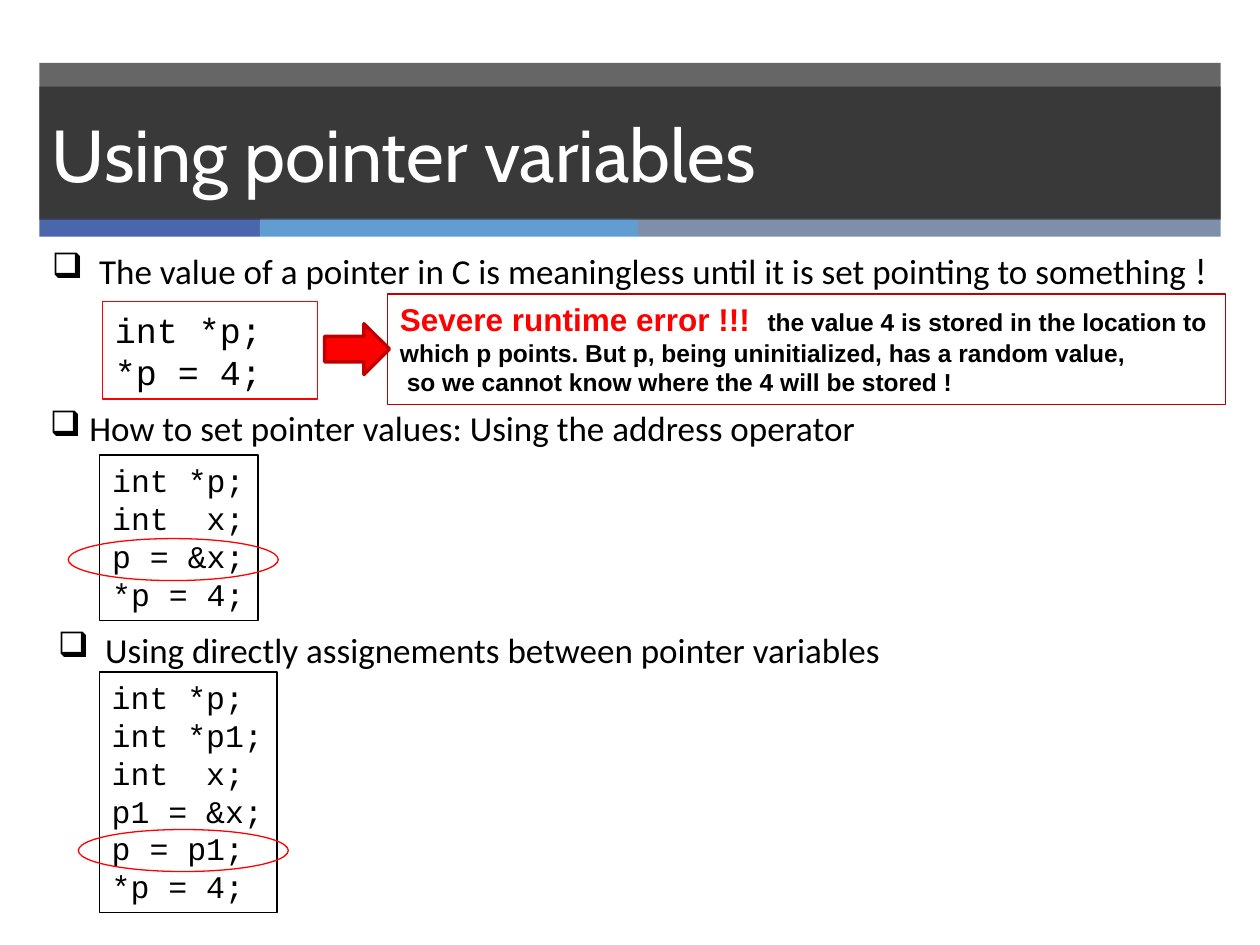
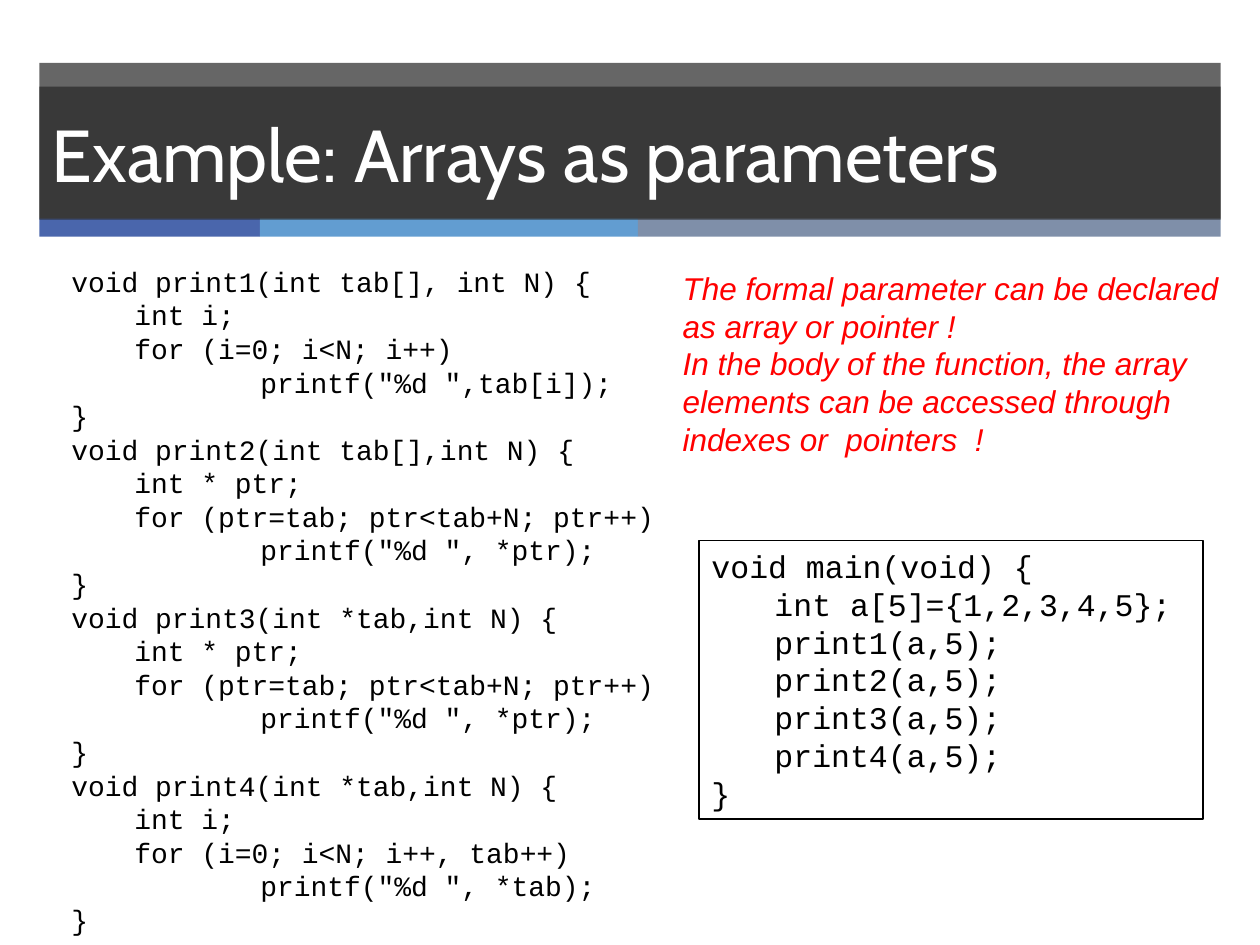
from lxml import etree
from pptx import Presentation
from pptx.dml.color import RGBColor
from pptx.enum.shapes import MSO_SHAPE
from pptx.enum.text import MSO_ANCHOR, MSO_AUTO_SIZE, PP_ALIGN
from pptx.oxml.ns import qn
from pptx.util import Pt

RECT, OVAL, ARROW = MSO_SHAPE.RECTANGLE, MSO_SHAPE.OVAL, MSO_SHAPE.RIGHT_ARROW
MIDDLE, LEFT = MSO_ANCHOR.MIDDLE, PP_ALIGN.LEFT
GROW, NO_FIT = MSO_AUTO_SIZE.SHAPE_TO_FIT_TEXT, MSO_AUTO_SIZE.NONE

COLORS = {
    "band": "262626", "blue": "4A66AC", "sky": "629DD1", "slate": "7F8FA9",
    "white": "FFFFFF", "black": "000000", "red": "FF0000", "dark_red": "C00000",
}
TITLE_FONT, LIST_FONT, CODE_FONT, NOTE_FONT = "Cabin", "Calibri", "Courier New", "Arial"
TITLE_ONLY = 5
BAND_LEFT, BAND_WIDTH = 22.5, 675
STRIPES = (("blue", 126), ("sky", 216), ("slate", 333))
INDENT, TAB = 36, 72


def rgb(name):
    return RGBColor.from_string(COLORS[name])


def fill_solid(shape, color, opacity=100):
    shape.fill.solid()
    shape.fill.fore_color.rgb = rgb(color)
    if opacity < 100:
        srgb = shape._element.spPr.find(qn("a:solidFill")).find(qn("a:srgbClr"))
        etree.SubElement(srgb, qn("a:alpha"), val=str(opacity * 1000))


def set_line(shape, color, weight=0.75):
    shape.line.color.rgb = rgb(color)
    shape.line.width = Pt(weight)


def set_font(font, name, size, color="black", bold=False, italic=False):
    font.name, font.size, font.bold, font.italic = name, Pt(size), bold, italic
    font.color.rgb = rgb(color)


def add_figure(slide, kind, box, fill=None, line=None, weight=0.75, opacity=100):
    figure = slide.shapes.add_shape(kind, *map(Pt, box))
    figure.shadow.inherit = False
    if fill:
        fill_solid(figure, fill, opacity)
    else:
        figure.fill.background()
    if line:
        set_line(figure, line, weight)
    else:
        figure.line.fill.background()


def add_frame(slide, box, line=None, wrap=True):
    """Add an auto-growing text box and return its text frame."""
    holder = slide.shapes.add_textbox(*map(Pt, box))
    if line:
        set_line(holder, line)
    frame = holder.text_frame
    frame.word_wrap, frame.auto_size = wrap, GROW
    return frame


def add_paragraphs(frame, lines):
    """Yield one paragraph for each line, beginning with the empty first one."""
    for number, line in enumerate(lines):
        paragraph = frame.add_paragraph() if number else frame.paragraphs[0]
        yield paragraph, line


def add_title_slide(prs, title):
    """Start a slide with the shared title band and its stripes."""
    slide = prs.slides.add_slide(prs.slide_layouts[TITLE_ONLY])
    add_figure(slide, RECT, (BAND_LEFT, 36, BAND_WIDTH, 89), "band", opacity=70)
    left = BAND_LEFT
    for color, width in STRIPES:
        add_figure(slide, RECT, (left, 124.75, width, 10.5), color)
        left += width

    heading = slide.shapes.title
    slide.shapes._spTree.append(heading._element)  # in front of the band
    heading.left, heading.top = Pt(BAND_LEFT), Pt(49.5)
    heading.width, heading.height = Pt(BAND_WIDTH), Pt(76)
    fill_solid(heading, "band", 70)
    frame = heading.text_frame
    frame.text = title
    frame.vertical_anchor, frame.auto_size = MIDDLE, NO_FIT
    frame.paragraphs[0].alignment = LEFT
    set_font(frame.paragraphs[0].font, TITLE_FONT, 42, "white")
    return slide


def add_bullet(slide, box, text, margin, hanging):
    paragraph = add_frame(slide, box).paragraphs[0]
    paragraph.text = text
    set_font(paragraph.font, LIST_FONT, 20)
    properties = paragraph._p.get_or_add_pPr()
    properties.set("marL", str(Pt(margin)))
    properties.set("indent", str(-Pt(hanging)))
    bullet = etree.Element(qn("a:buChar"), char="❑")
    properties.insert(0, bullet)
    return paragraph


def add_code(slide, box, code, size=18, line=None, wrap=True):
    """Place code whose leading tabs give an indent, then tab stops."""
    frame = add_frame(slide, box, line, wrap)
    for paragraph, text in add_paragraphs(frame, code.strip().split("\n")):
        indented = text.startswith("\t")
        paragraph.text = text[1:] if indented else text
        set_font(paragraph.font, CODE_FONT, size)
        properties = paragraph._p.get_or_add_pPr()
        properties.set("defTabSz", str(Pt(TAB)))
        if indented:
            properties.set("marL", str(Pt(INDENT)))
            properties.set("indent", "0")


def add_marked_code(slide, box, code, mark_offset):
    """Place a code box and circle one of its lines, offset from the box corner."""
    add_code(slide, box, code, line="black", wrap=False)
    left, top = box[0] + mark_offset[0], box[1] + mark_offset[1]
    add_figure(slide, OVAL, (left, top, 120, 24), line="red")


def add_error_note(slide, box):
    frame = add_frame(slide, box, "dark_red")
    explanation = (
        "the value 4 is stored in the location to",
        "which p points. But p, being uninitialized, has a random value,",
        " so we cannot know where the 4 will be stored !",
    )
    for number, (paragraph, text) in enumerate(add_paragraphs(frame, explanation)):
        if number == 0:
            warning = paragraph.add_run()
            warning.text = "Severe runtime error !!!  "
            set_font(warning.font, NOTE_FONT, 18, "red", bold=True)
        detail = paragraph.add_run()
        detail.text = text
        set_font(detail.font, NOTE_FONT, 14, bold=True)


def add_remark(slide, box, lines):
    frame = add_frame(slide, box, wrap=False)
    for paragraph, text in add_paragraphs(frame, lines):
        paragraph.text = text
        set_font(paragraph.font, NOTE_FONT, 18, "red", italic=True)


def build_pointer_slide(prs):
    slide = add_title_slide(prs, "Using pointer variables")
    add_code(slide, (58.5, 172.5, 123, 55.5), "int *p;\n*p = 4;", 20, "red")
    add_error_note(slide, (221.5, 168, 479, 63))
    add_marked_code(slide, (57, 260, 90.5, 94.5),
                    "int *p;\nint  x;\np = &x;\n*p = 4;", (-18, 47.75))
    add_marked_code(slide, (56.75, 384, 101.5, 137.5),
                    "int *p;\nint *p1;\nint  x;\np1 = &x;\np = p1;\n*p = 4;", (-12, 90))
    meaning = add_bullet(
        slide, (22.5, 139, BAND_WIDTH, 31.5),
        "The value of a pointer in C is meaningless until it is set pointing to something",
        27, 27)
    exclamation = meaning.add_run()
    exclamation.text = " !"
    exclamation.font.name = "Lato"
    add_bullet(slide, (21.5, 229, 534, 31.5),
               "How to set pointer values: Using the address operator", 22.5, 22.5)
    add_bullet(slide, (-10, 355.5, 640, 31.5),
               "Using directly assignements between pointer variables", 63, 27)
    add_figure(slide, ARROW, (185.5, 185, 37, 29), "red", "dark_red", 2)


def build_array_slide(prs):
    slide = add_title_slide(prs, "Example: Arrays as parameters")
    walk = "for (ptr=tab; ptr<tab+N; ptr++)"
    functions = (
        ("int tab[], int N", "int i;", "for (i=0; i<N; i++)", '"%d ",tab[i]'),
        ("int tab[],int N", "int * ptr;", walk, '"%d ", *ptr'),
        ("int *tab,int N", "int * ptr;", walk, '"%d ", *ptr'),
        ("int *tab,int N", "int i;", "for (i=0; i<N; i++, tab++)", '"%d ", *tab'),
    )
    listing = "\n".join(
        f"void print{number}({parameters}) {{\n\t{variable}\n\t{loop}\n\t\tprintf({output});\n}}"
        for number, (parameters, variable, loop, output) in enumerate(functions, 1))
    add_code(slide, (33.75, 147.5, 373, 392), listing, 16)

    calls = "\n".join(f"\tprint{number}(a,5);" for number in range(1, 5))
    add_code(slide, (399.5, 309, 288, 159),
             f"void main(void) {{\n\tint a[5]={{1,2,3,4,5}};\n{calls}\n}}", line="black")
    add_remark(slide, (383, 150, 320.5, 115), (
        "The formal parameter can be declared",
        "as array or pointer !",
        "In the body of the function, the array",
        "elements can be accessed through",
        "indexes or  pointers  !",
    ))


def main():
    prs = Presentation()
    prs.slide_width, prs.slide_height = Pt(720), Pt(540)
    build_pointer_slide(prs)
    build_array_slide(prs)
    prs.save("out.pptx")


if __name__ == "__main__":
    main()
